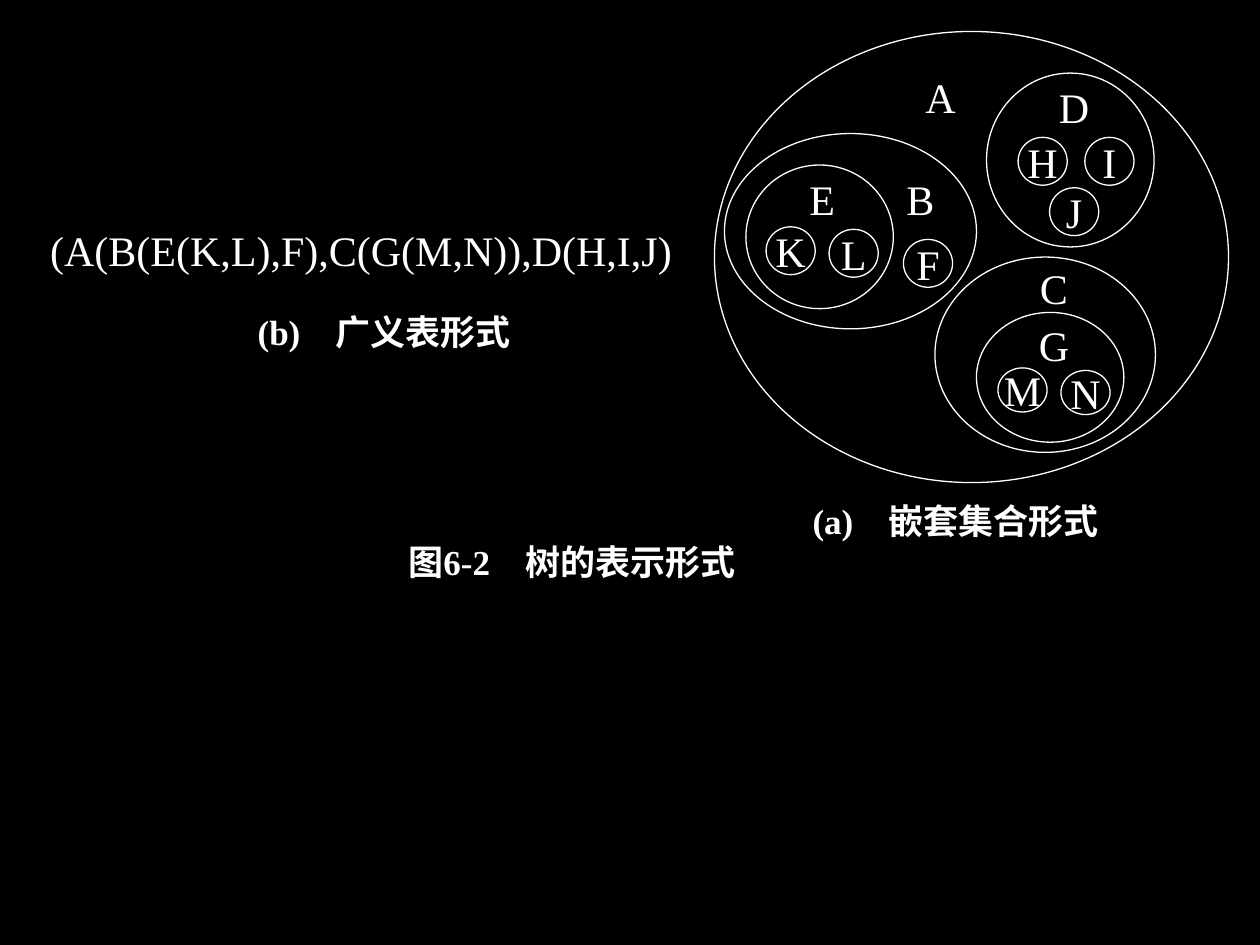
"""Build a slide showing a tree as nested sets and as a generalized list."""
from pptx import Presentation
from pptx import util as u
from pptx.dml.color import RGBColor
from pptx.enum import shapes, text
from pptx.oxml.ns import qn

BLACK = RGBColor(0x00, 0x00, 0x00)
WHITE = RGBColor(0xFF, 0xFF, 0xFF)
SERIF, SANS, CHINESE = "Times New Roman", "Arial", "Noto Sans CJK SC"
CIRCLE_WIDTH = 0.39


def write(shape, runs, size=24, bold=False, align=text.PP_ALIGN.CENTER, wrap=False):
    frame = shape.text_frame
    frame.word_wrap = wrap
    frame.vertical_anchor = text.MSO_ANCHOR.MIDDLE
    paragraph = frame.paragraphs[0]
    paragraph.alignment = align
    for words, typeface in runs:
        run = paragraph.add_run()
        run.text = words
        run.font.name = typeface
        run.font.size = u.Pt(size)
        run.font.bold = bold
        run.font.color.rgb = WHITE
        east_asian = run.font._element.makeelement(qn("a:ea"), {"typeface": CHINESE})
        run.font._element.find(qn("a:latin")).addnext(east_asian)


def add_ellipse(box, label="", outlined=True):
    ellipse = slide.shapes.add_shape(shapes.MSO_SHAPE.OVAL, *map(u.Inches, box))
    ellipse.shadow.inherit = False
    ellipse.fill.background()
    if outlined:
        ellipse.line.color.rgb = WHITE
        ellipse.line.width = u.Pt(0.75)
    else:
        ellipse.line.fill.background()
    if label:
        write(ellipse, [(label, SERIF)])


presentation = Presentation()
presentation.slide_width = u.Inches(10)
presentation.slide_height = u.Inches(7.5)
slide = presentation.slides.add_slide(presentation.slide_layouts[6])
slide.background.fill.solid()
slide.background.fill.fore_color.rgb = BLACK

captions = [
    ((3, 4.25, 3.08, 0.42),
     [("图", SANS), ("6-2　", SERIF), ("树的表示", SANS), ("形式", SERIF)]),
    ((6.25, 3.92, 2.67, 0.42),
     [("(a)　", SERIF), ("嵌套集合", CHINESE), ("形式", SERIF)]),
    ((1.8, 2.42, 2.5, 0.42),
     [("(b)　", SERIF), ("广义表", CHINESE), ("形式", SERIF)]),
]
for box, runs in captions:
    caption = slide.shapes.add_textbox(*map(u.Inches, box))
    write(caption, runs, size=20, bold=True, wrap=True)

generalized_list = slide.shapes.add_textbox(*map(u.Inches, (0.3, 1.75, 5.25, 0.47)))
write(generalized_list, [("(A(B(E(K,L),F),C(G(M,N)),D(H,I,J)", SERIF)],
      align=text.PP_ALIGN.LEFT, wrap=True)

leaves = [
    ("H", 8.08, 1.09, 0.38), ("I", 8.61, 1.09, 0.38), ("J", 8.33, 1.49, 0.38),
    ("F", 7.17, 1.9, 0.38), ("K", 6.08, 1.8, 0.38), ("L", 6.58, 1.82, 0.38),
    ("M", 7.92, 2.92, 0.35), ("N", 8.42, 2.94, 0.35),
]
for leaf, left, top, height in leaves:
    add_ellipse((left, top, CIRCLE_WIDTH, height), leaf)

nested_sets = [
    ("D", (7.83, 0.58, 1.33, 1.38), (8.3, 0.66, 0.45, 0.38)),
    ("E", (5.92, 1.31, 1.17, 1.14), (6.33, 1.39, CIRCLE_WIDTH, 0.38)),
    ("B", (5.75, 1.06, 2, 1.55), (7.11, 1.39, CIRCLE_WIDTH, 0.38)),
    ("G", (7.75, 2.48, 1.17, 1.03), (8.17, 2.56, CIRCLE_WIDTH, 0.35)),
    ("C", (7.42, 2.04, 1.75, 1.55), (8.17, 2.11, CIRCLE_WIDTH, 0.35)),
    ("A", (5.67, 0.25, 4.08, 3.58), (7.27, 0.58, CIRCLE_WIDTH, 0.38)),
]
for name, boundary, label_box in nested_sets:
    add_ellipse(boundary)
    add_ellipse(label_box, name, outlined=False)

presentation.save("out.pptx")
